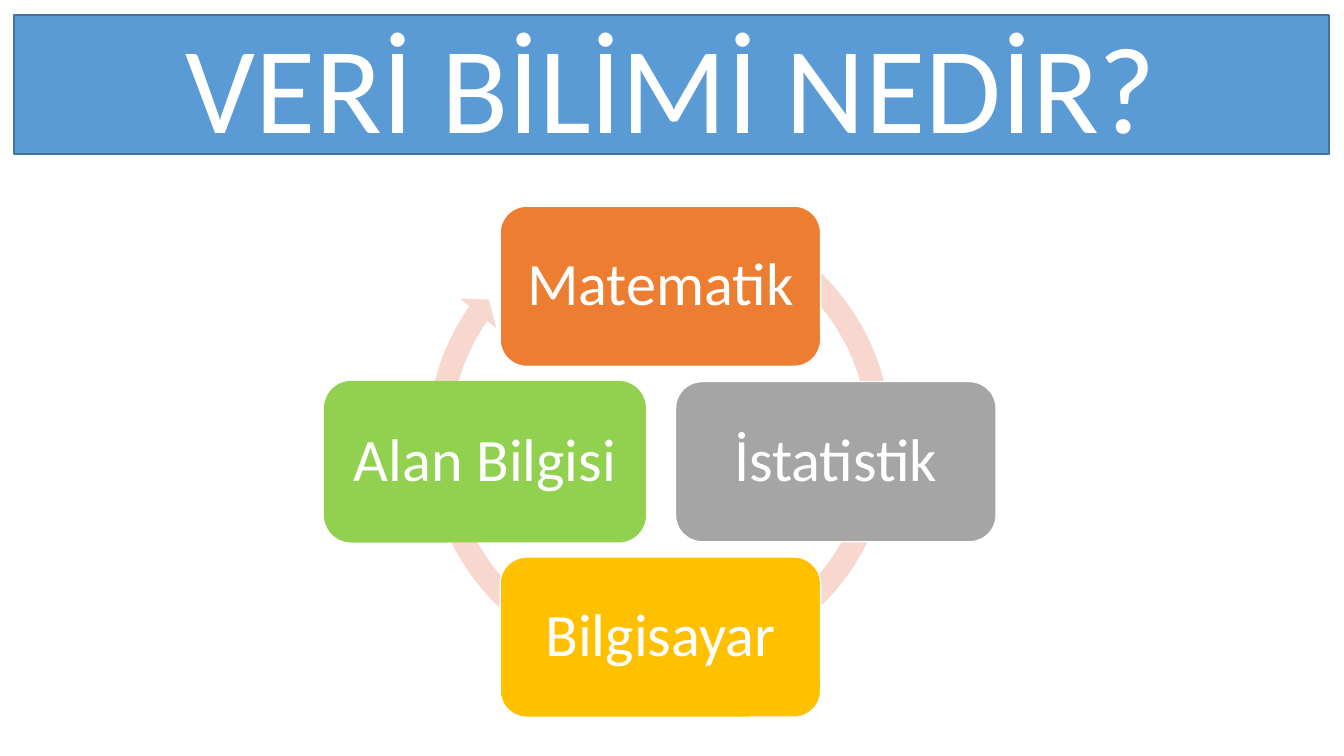
from dataclasses import dataclass

from pptx import Presentation
from pptx.dml.color import RGBColor
from pptx.enum.shapes import MSO_SHAPE
from pptx.enum.text import MSO_ANCHOR, PP_ALIGN
from pptx.util import Inches, Pt

RECTANGLE = MSO_SHAPE.RECTANGLE
ROUNDED = MSO_SHAPE.ROUNDED_RECTANGLE
CIRCULAR_ARROW = MSO_SHAPE.CIRCULAR_ARROW
MIDDLE = MSO_ANCHOR.MIDDLE
CENTER = PP_ALIGN.CENTER


@dataclass(frozen=True)
class Theme:
    font: str = "Calibri"
    title_size: int = 88
    label_size: int = 43
    white: str = "FFFFFF"
    blue: str = "5B9BD5"
    dark_blue: str = "43739E"
    pink: str = "F8D7CE"
    orange: str = "ED7D31"
    gray: str = "A5A5A5"
    gold: str = "FFC000"
    green: str = "92D050"


theme = Theme()


def add_block(kind, left, top, width, height, fill, line=None):
    shape = slide.shapes.add_shape(
        kind, Inches(left), Inches(top), Inches(width), Inches(height))
    shape.shadow.inherit = False
    shape.fill.solid()
    shape.fill.fore_color.rgb = RGBColor.from_string(fill)
    if line:
        shape.line.color.rgb = RGBColor.from_string(line)
        shape.line.width = Pt(1)
    else:
        shape.line.fill.background()
    return shape


def set_label(shape, text, size, spacing=1.0):
    frame = shape.text_frame
    frame.text = text
    frame.word_wrap = False
    frame.vertical_anchor = MIDDLE
    paragraph = frame.paragraphs[0]
    paragraph.alignment = CENTER
    paragraph.line_spacing = spacing
    font = paragraph.runs[0].font
    font.name = theme.font
    font.size = Pt(size)
    font.color.rgb = RGBColor.from_string(theme.white)


presentation = Presentation()
presentation.slide_width = Inches(13.33)
presentation.slide_height = Inches(7.5)
slide = presentation.slides.add_slide(presentation.slide_layouts[6])

# Title banner
banner = add_block(RECTANGLE, 0.14, 0.15, 13.04, 1.38, theme.blue, theme.dark_blue)
set_label(banner, "VERİ BİLİMİ NEDİR?", theme.title_size)

# Cycle arrow behind the boxes; angles are stored as 0.6 per degree
ring_size = 4.84
ring = add_block(CIRCULAR_ARROW, 4.12, 1.94, ring_size, ring_size, theme.pink)
ring_settings = (0.047, 4.55 * 0.6, 214.83 * 0.6, 299.86 * 0.6, 0.048)
for index, value in enumerate(ring_settings):
    ring.adjustments[index] = value

# Four fields, one step from the centre of the cycle
center_x, center_y, step = 6.55, 4.58, 1.74
box_width, box_height = 3.18, 1.59
fields = [
    ("Matematik", 0, -1, theme.orange, theme.white),
    ("İstatistik", 1, 0, theme.gray, theme.white),
    ("Bilgisayar", 0, 1, theme.gold, theme.white),
    ("Alan Bilgisi", -1, 0, theme.green, theme.green),
]
for text, column, row, fill, line in fields:
    box = add_block(
        ROUNDED,
        center_x + column * step - box_width / 2,
        center_y + row * step - box_height / 2,
        box_width, box_height, fill, line)
    set_label(box, text, theme.label_size, 0.9)

presentation.save("out.pptx")
